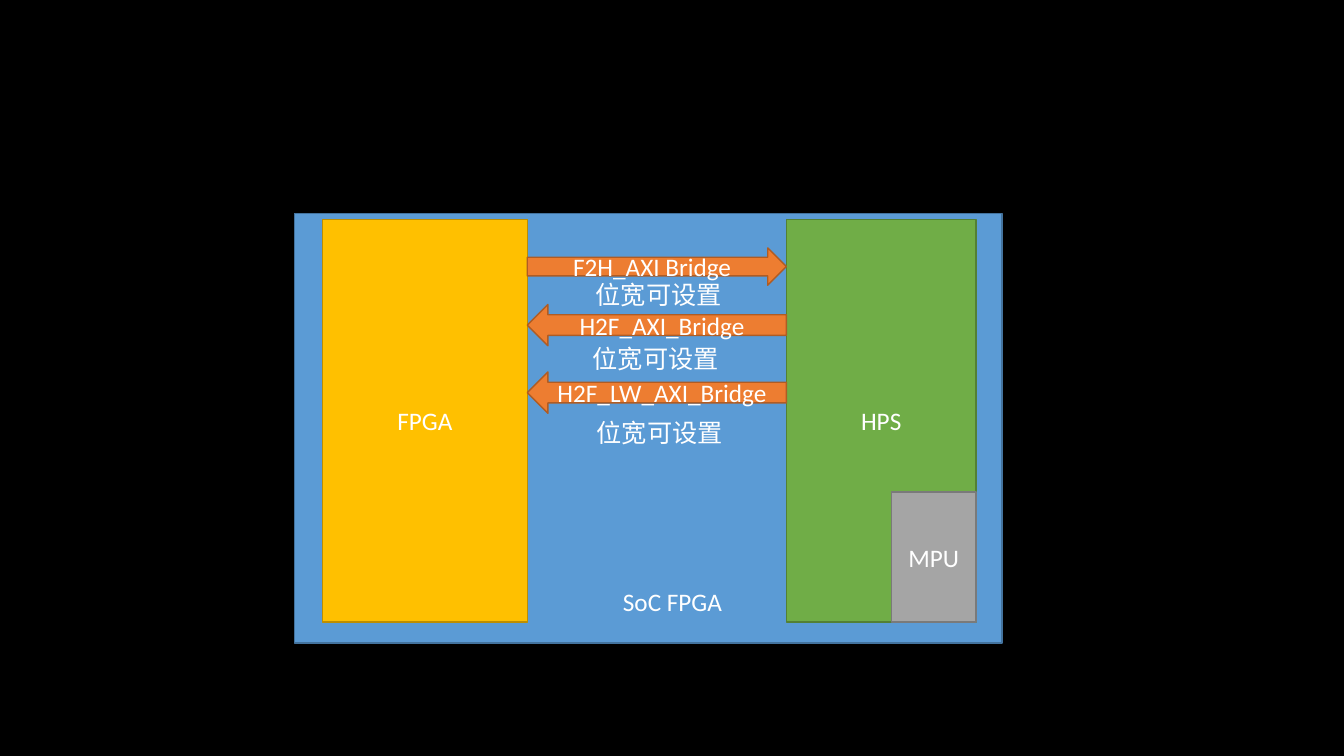
import dataclasses

import pptx
import pptx.dml.color
import pptx.enum.shapes
import pptx.enum.text
import pptx.shapes.autoshape
import pptx.slide
import pptx.text.text
import pptx.util

Color = pptx.dml.color.RGBColor
Inches = pptx.util.Inches
Kind = pptx.enum.shapes.MSO_SHAPE
Align = pptx.enum.text.PP_ALIGN

BLACK = Color(0x00, 0x00, 0x00)
WHITE = Color(0xFF, 0xFF, 0xFF)
BLUE = Color(0x5B, 0x9B, 0xD5)
NAVY = Color(0x43, 0x73, 0x9E)
GOLD = Color(0xFF, 0xC0, 0x00)
AMBER = Color(0xBD, 0x8E, 0x00)
GREEN = Color(0x70, 0xAD, 0x47)
MOSS = Color(0x53, 0x80, 0x35)
ORANGE = Color(0xED, 0x7D, 0x31)
RUST = Color(0xAF, 0x5C, 0x24)
GRAY = Color(0xA5, 0xA5, 0xA5)
SLATE = Color(0x7A, 0x7A, 0x7A)

FONT = "Calibri"
SIZE = pptx.util.Pt(18)
WIDTH_NOTE = "位宽可设置"


@dataclasses.dataclass(frozen=True)
class Block:
    text: str
    left: float
    top: float
    width: float
    height: float
    fill: Color
    line: Color
    kind: Kind = Kind.RECTANGLE


@dataclasses.dataclass(frozen=True)
class Label:
    text: str
    left: float
    top: float
    width: float
    height: float = 0.4


@dataclasses.dataclass(frozen=True)
class Bridge:
    text: str
    top: float
    height: float
    kind: Kind
    note_left: float
    note_top: float


CHIP = Block("", 2.92, 2.12, 7.02, 4.26, BLUE, NAVY)
FPGA = Block("FPGA", 3.2, 2.18, 2.03, 3.99, GOLD, AMBER)
HPS = Block("HPS", 7.8, 2.18, 1.88, 3.99, GREEN, MOSS)
MPU = Block("MPU", 8.84, 4.88, 0.84, 1.29, GRAY, SLATE)
TITLE = Label("SoC FPGA", 6.08, 5.77, 1.19)

BRIDGES = (
    Bridge("F2H_AXI Bridge", 2.46, 0.37, Kind.RIGHT_ARROW, 5.81, 2.72),
    Bridge("H2F_AXI_Bridge", 3.02, 0.41, Kind.LEFT_ARROW, 5.78, 3.36),
    Bridge("H2F_LW_AXI_Bridge", 3.69, 0.41, Kind.LEFT_ARROW, 5.82, 4.09),
)


def write(frame: pptx.text.text.TextFrame, text: str, align: Align) -> None:
    frame.text = text
    line = frame.paragraphs[0]
    line.alignment = align
    for run in line.runs:
        run.font.name = FONT
        run.font.size = SIZE
        run.font.color.rgb = WHITE


def draw_block(slide: pptx.slide.Slide, block: Block) -> None:
    shape = slide.shapes.add_shape(
        block.kind, Inches(block.left), Inches(block.top),
        Inches(block.width), Inches(block.height))
    shape.shadow.inherit = False
    shape.fill.solid()
    shape.fill.fore_color.rgb = block.fill
    shape.line.color.rgb = block.line
    shape.line.width = pptx.util.Pt(1)
    if block.text:
        shape.text_frame.vertical_anchor = pptx.enum.text.MSO_ANCHOR.MIDDLE
        write(shape.text_frame, block.text, Align.CENTER)


def draw_label(slide: pptx.slide.Slide, label: Label) -> None:
    box = slide.shapes.add_textbox(
        Inches(label.left), Inches(label.top),
        Inches(label.width), Inches(label.height))
    frame = box.text_frame
    frame.word_wrap = False
    frame.auto_size = pptx.enum.text.MSO_AUTO_SIZE.SHAPE_TO_FIT_TEXT
    write(frame, label.text, Align.LEFT)


def draw_bridge(slide: pptx.slide.Slide, bridge: Bridge) -> None:
    left = FPGA.left + FPGA.width
    draw_block(slide, Block(bridge.text, left, bridge.top, HPS.left - left,
                            bridge.height, ORANGE, RUST, bridge.kind))
    draw_label(slide, Label(WIDTH_NOTE, bridge.note_left, bridge.note_top, 1.46))


def main() -> None:
    deck = pptx.Presentation()
    deck.slide_width = Inches(13.33)
    deck.slide_height = Inches(7.5)
    slide = deck.slides.add_slide(deck.slide_layouts[6])
    slide.background.fill.solid()
    slide.background.fill.fore_color.rgb = BLACK
    for block in (CHIP, FPGA, HPS, MPU):
        draw_block(slide, block)
    for bridge in BRIDGES:
        draw_bridge(slide, bridge)
    draw_label(slide, TITLE)
    deck.save("out.pptx")


main()
